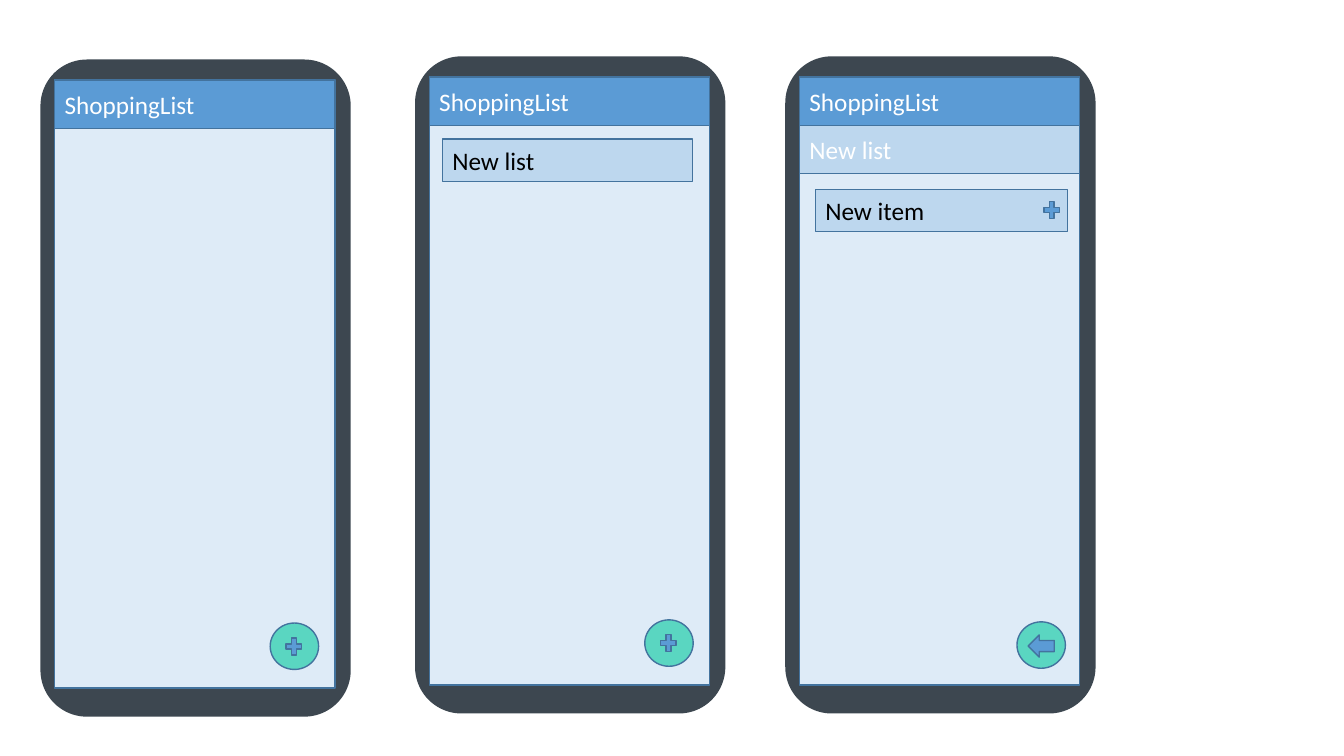
from dataclasses import dataclass

from pptx import Presentation
from pptx.dml.color import RGBColor as Rgb
from pptx.enum.shapes import MSO_SHAPE as Preset
from pptx.enum.text import MSO_ANCHOR as Anchor, PP_ALIGN as Align
from pptx.shapes.group import GroupShape
from pptx.util import Cm, Pt

COLOURS: dict[str, str] = {
    "case": "3D4750",
    "screen": "DEEBF7",
    "outline": "43739E",
    "accent": "5B9BD5",
    "pale": "BDD7EE",
    "button": "5AD6C1",
    "white": "FFFFFF",
    "black": "000000",
}


@dataclass(frozen=True)
class Widget:
    preset: Preset
    left: float
    top: float
    width: float
    height: float
    fill: str
    text: str = ""
    ink: str = "white"


@dataclass(frozen=True)
class Phone:
    left: float
    top: float
    widgets: tuple[Widget, ...]


def bar(top: float, fill: str, text: str) -> Widget:
    return Widget(Preset.RECTANGLE, 0.36, top, 7.06, 1.22, fill, text)


def entry(left: float, top: float, width: float, text: str) -> Widget:
    return Widget(Preset.RECTANGLE, left, top, width, 1.07, "pale", text, "black")


def plus(left: float, top: float) -> Widget:
    return Widget(Preset.MATH_PLUS, left, top, 0.53, 0.58, "accent")


def button(left: float, top: float) -> Widget:
    return Widget(Preset.OVAL, left, top, 1.22, 1.17, "button")


CASE = Widget(Preset.ROUNDED_RECTANGLE, 0, 0, 7.82, 16.56, "case")
SCREEN = Widget(Preset.RECTANGLE, 0.36, 0.52, 7.06, 15.32, "screen")
ADD_BUTTON = (button(5.79, 14.2), plus(6.12, 14.5))
BACK_BUTTON = (
    button(5.84, 14.25),
    Widget(Preset.LEFT_ARROW, 6.12, 14.58, 0.66, 0.56, "accent"),
)
APP_BAR = bar(0.52, "accent", "ShoppingList")

PHONES = (
    Phone(1.02, 1.5, (*ADD_BUTTON, APP_BAR)),
    Phone(10.46, 1.42, (*ADD_BUTTON, APP_BAR, entry(0.69, 2.08, 6.3, "New list"))),
    Phone(
        19.79,
        1.42,
        (
            APP_BAR,
            bar(1.74, "pale", "New list"),
            entry(0.76, 3.35, 6.35, "New item"),
            plus(6.45, 3.58),
            *BACK_BUTTON,
        ),
    ),
)


def colour(name: str) -> Rgb:
    return Rgb.from_string(COLOURS[name])


def draw_widget(group: GroupShape, phone: Phone, widget: Widget) -> None:
    shape = group.shapes.add_shape(
        widget.preset,
        Cm(phone.left + widget.left),
        Cm(phone.top + widget.top),
        Cm(widget.width),
        Cm(widget.height),
    )
    shape.shadow.inherit = False
    shape.fill.solid()
    shape.fill.fore_color.rgb = colour(widget.fill)
    if widget is CASE:
        shape.adjustments[0] = 0.15
        shape.line.fill.background()
    else:
        shape.line.color.rgb = colour("outline")
        shape.line.width = Pt(1)
    if widget.text:
        frame = shape.text_frame
        frame.word_wrap = True
        frame.vertical_anchor = Anchor.MIDDLE
        para = frame.paragraphs[0]
        para.alignment = Align.LEFT
        span = para.add_run()
        span.text = widget.text
        span.font.name = "Calibri"
        span.font.size = Pt(18)
        span.font.color.rgb = colour(widget.ink)


def main() -> None:
    deck = Presentation()
    deck.slide_width = Cm(33.87)
    deck.slide_height = Cm(19.05)
    page = deck.slides.add_slide(deck.slide_layouts[6])
    for phone in PHONES:
        group = page.shapes.add_group_shape()
        for widget in (CASE, SCREEN, *phone.widgets):
            draw_widget(group, phone, widget)
    deck.save("out.pptx")


if __name__ == "__main__":
    main()
